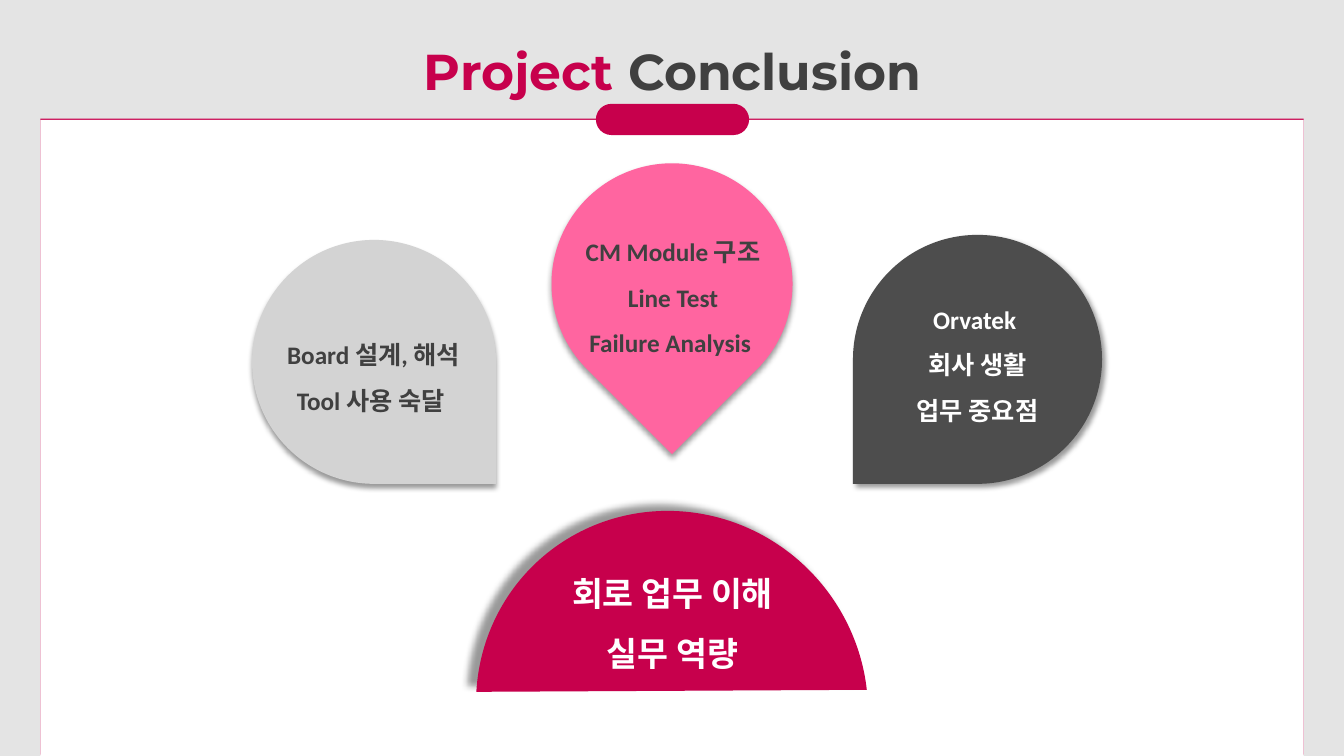
from lxml import etree
from pptx import Presentation
from pptx.dml.color import RGBColor
from pptx.enum.shapes import MSO_SHAPE as Shape
from pptx.enum.text import MSO_AUTO_SIZE as AutoSize, PP_ALIGN as Align
from pptx.oxml import parse_xml
from pptx.oxml.ns import nsdecls, qn
from pptx.util import Inches, Pt

CRIMSON, CHARCOAL, WHITE = "C7004C", "404040", "FFFFFF"
KOREAN = "Noto Sans CJK KR"

# Shadows: colour, opacity %, blur pt, distance pt, direction in degrees
PANEL_SHADOW = (CRIMSON, 100, 0, 1, 270)
DROP_SHADOW = ("000000", 40, 4, 3, 90)
SIDE_SHADOW = ("000000", 40, 4, 3, 45)
DOME_SHADOW = ("000000", 40, 5, 8, 215)

# Shapes: preset, box, fill, rotation, adjustments, shadow
FRAME = [
    (Shape.RECTANGLE, (0.4, 1.19, 12.53, 6.31), WHITE, 0, (), PANEL_SHADOW),
    (Shape.ROUNDED_RECTANGLE, (5.91, 1.03, 1.52, 0.31), CRIMSON, 0, (0.5,), None),
]
BUBBLES = [
    (Shape.TEAR, (2.5, 2.38, 2.42, 2.42), "D3D3D3", 90, (), DROP_SHADOW),
    (Shape.TEAR, (5.47, 1.62, 2.39, 2.39), "FF65A0", 135, (), DROP_SHADOW),
    (Shape.TEAR, (8.46, 2.33, 2.47, 2.47), "4D4D4D", 180, (), SIDE_SHADOW),
    (Shape.CHORD, (4.74, 5.05, 3.85, 3.94), CRIMSON, 139.6, (27, 129.11), DOME_SHADOW),
]

# Texts: box, font, size, lines of (wording, colour) runs
TITLE = ((1.64, 0.05, 10.06, 0.92), "Montserrat", 36,
         [[("Project", CRIMSON), (" Conclusion", CHARCOAL)]])
LESSONS = [
    ((2.48, 3.17, 2.45, 1.42), "Calibri", 18,
     [[("Board 설계, 해석", CHARCOAL)], [("Tool 사용 숙달 ", CHARCOAL)]]),
    ((5.45, 2.15, 2.45, 1.87), "Calibri", 18,
     [[("CM Module 구조", CHARCOAL)], [("Line Test", CHARCOAL)],
      [("Failure Analysis ", CHARCOAL)]]),
    ((8.79, 2.82, 1.81, 1.46), "Calibri", 18,
     [[("Orvatek ", WHITE)], [("회사 생활", WHITE)], [("업무 중요점", WHITE)]]),
    ((5.29, 5.43, 2.76, 1.31), KOREAN, 24,
     [[("회로 업무 이해", WHITE)], [("실무 역량", WHITE)]]),
]


def paint(color_format, hex_color):
    color_format.rgb = RGBColor.from_string(hex_color)


def add_shadow(shape, color, opacity, blur, distance, direction):
    effects = shape._element.spPr.find(qn("a:effectLst"))
    effects.append(parse_xml(
        f'<a:outerShdw {nsdecls("a")} blurRad="{Pt(blur)}" dist="{Pt(distance)}" '
        f'dir="{direction * 60000}" algn="ctr" rotWithShape="0">'
        f'<a:srgbClr val="{color}"><a:alpha val="{opacity * 1000}"/></a:srgbClr>'
        '</a:outerShdw>'))


def add_figure(slide, preset, box, fill, rotation, adjustments, shadow):
    figure = slide.shapes.add_shape(preset, *map(Inches, box))
    figure.shadow.inherit = False
    figure.fill.solid()
    paint(figure.fill.fore_color, fill)
    figure.line.fill.background()
    figure.rotation = rotation
    for index, value in enumerate(adjustments):
        figure.adjustments[index] = value
    if shadow:
        add_shadow(figure, *shadow)


def add_lines(slide, box, font_name, size, lines):
    frame = slide.shapes.add_textbox(*map(Inches, box)).text_frame
    frame.word_wrap = True
    frame.auto_size = AutoSize.SHAPE_TO_FIT_TEXT
    font_format = {"name": font_name, "size": Pt(size), "bold": True}
    for index, line in enumerate(lines):
        paragraph = frame.add_paragraph() if index else frame.paragraphs[0]
        paragraph.alignment = Align.CENTER
        paragraph.line_spacing = 1.5
        for wording, color in line:
            run = paragraph.add_run()
            run.text = wording
            for attribute, value in font_format.items():
                setattr(run.font, attribute, value)
            paint(run.font.color, color)
            etree.SubElement(run._r.rPr, qn("a:ea"), typeface=KOREAN)


def main():
    deck = Presentation()
    deck.slide_width, deck.slide_height = Inches(13.33), Inches(7.5)
    slide = deck.slides.add_slide(deck.slide_layouts[6])
    slide.background.fill.solid()
    paint(slide.background.fill.fore_color, "E4E4E4")
    for figure in FRAME:
        add_figure(slide, *figure)
    add_lines(slide, *TITLE)
    for bubble in BUBBLES:
        add_figure(slide, *bubble)
    for lesson in LESSONS:
        add_lines(slide, *lesson)
    deck.save("out.pptx")


if __name__ == "__main__":
    main()
